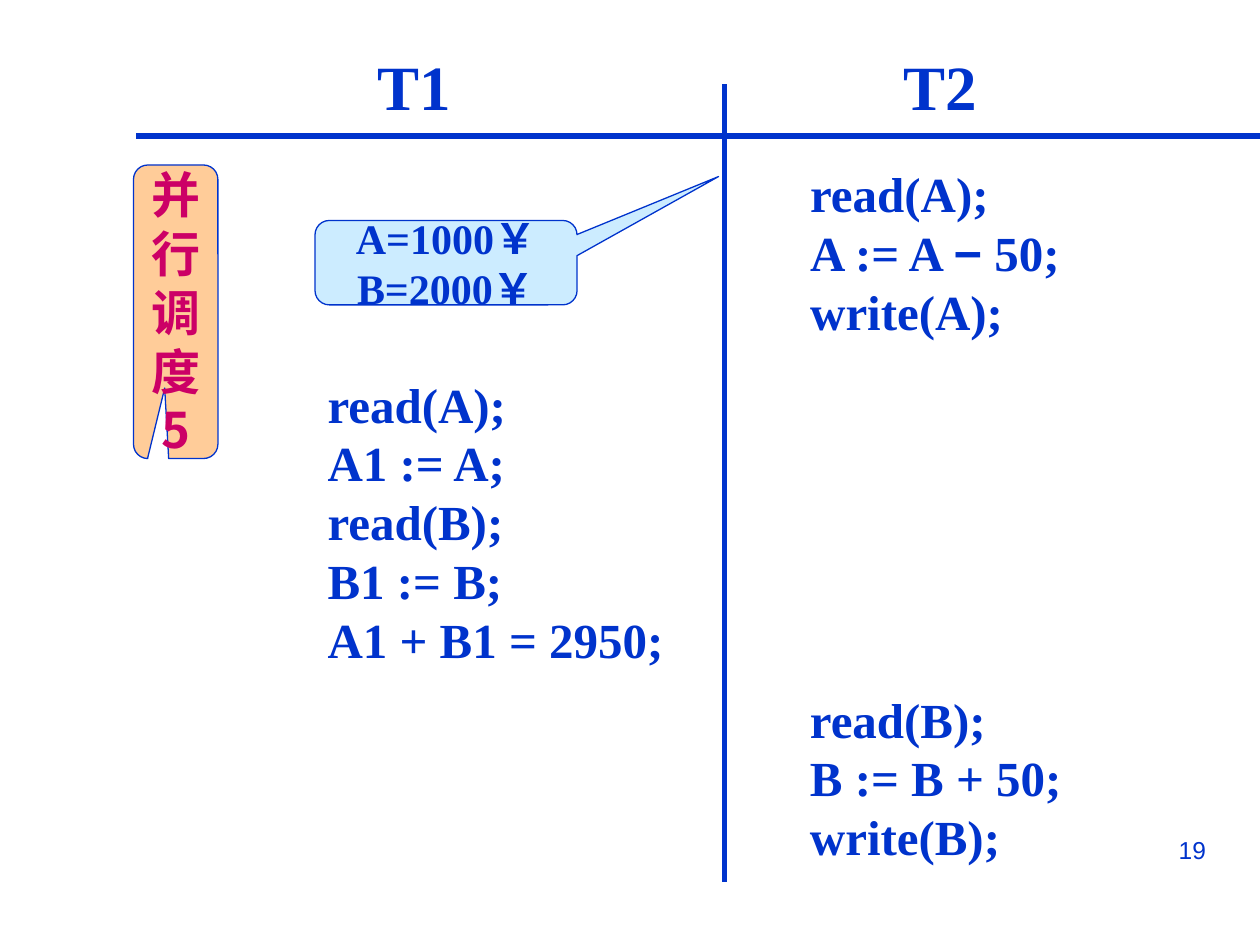
from lxml import etree
from pptx import Presentation, util as u
from pptx.dml.color import RGBColor
from pptx.enum import shapes, text
from pptx.oxml.ns import qn

SERIF, SANS, CHINESE = "Times New Roman", "Arial", "Noto Sans CJK SC"
BLUE, MAGENTA, SKY, PEACH = "0033CC", "CC0066", "CCECFF", "FFCC99"
LINE_PITCH = 1.2
LEFT, CENTER, RIGHT = text.PP_ALIGN.LEFT, text.PP_ALIGN.CENTER, text.PP_ALIGN.RIGHT
COLUMN_LEFT = {"T1": 2.5, "T2": 6.33}

CODE = dict(size=28, bold=True, name=SERIF, color=BLUE)
HEADING = dict(CODE, size=36)
BALANCE = dict(CODE, size=24)
SCHEDULE = dict(CODE, name=CHINESE, color=MAGENTA)
NUMBER = dict(size=14, bold=False, name=SANS, color=BLUE)

# Placeholder index, heading, left edge
headings = [(1, "T1", 2.75), (3, "T2", 6.92)]

# Placeholder index (None for a text box), column, top, width, lines
steps = [
    (4, "T2", 1.25, 2.58, ["read(A);", "A := A − 50;", "write(A);"]),
    (2, "T1", 2.92, 3, ["read(A);", "A1 := A;", "read(B);", "B1 := B;", "A1 + B1 = 2950;"]),
    (None, "T2", 5.42, 2.25, ["read(B);", "B := B + 50;", "write(B);"]),
]

# Box, callout adjustments, fill, text format, lines
callouts = [
    ((2.5, 1.75, 2.08, 0.67), (1.04, -1.02, 0.17), SKY, BALANCE, ["A=1000￥", "B=2000￥"]),
    ((1.06, 1.31, 0.67, 2.33), (-0.13, 0.26, 0.17), PEACH, SCHEDULE, list("并行调度5")),
]

# Start and end of the two table rules
rules = [((1.08, 1.08), (10, 1.08)), ((5.75, 0.67), (5.75, 7))]


def rgb(color):
    return RGBColor.from_string(color)


def place(shape, box):
    for name, value in zip(("left", "top", "width", "height"), box):
        setattr(shape, name, u.Inches(value))


def add_run(paragraph, content, style):
    run = paragraph.add_run()
    run.text = content
    for name in ("size", "bold", "name"):
        value = style[name]
        setattr(run.font, name, u.Pt(value) if name == "size" else value)
    run.font.color.rgb = rgb(style["color"])
    east_asian = etree.SubElement(run.font._element, qn("a:ea"))
    east_asian.set("typeface", CHINESE)


def write(shape, lines, style, align=LEFT, anchor=text.MSO_ANCHOR.TOP, wrap=True):
    """Write one unbulleted paragraph a line, with minus signs in the sans font."""
    frame = shape.text_frame
    frame_format = dict(word_wrap=wrap, vertical_anchor=anchor, auto_size=text.MSO_AUTO_SIZE.NONE,
                        margin_left=u.Inches(0.1), margin_right=u.Inches(0.1),
                        margin_top=u.Inches(0.05), margin_bottom=u.Inches(0.05))
    for name, value in frame_format.items():
        setattr(frame, name, value)
    for number, line in enumerate(lines):
        paragraph = frame.add_paragraph() if number else frame.paragraphs[0]
        properties = paragraph._p.get_or_add_pPr()
        properties.set("marL", "0")
        properties.set("indent", "0")
        etree.SubElement(properties, qn("a:buNone"))
        paragraph.alignment = align
        paragraph.space_before = u.Pt(0)
        paragraph.line_spacing = u.Pt(style["size"] * LINE_PITCH)
        before, minus, after = line.partition("−")
        add_run(paragraph, before, style)
        if minus:
            add_run(paragraph, minus, dict(style, name=SANS))
            add_run(paragraph, after, style)


def text_holder(slide, index, box):
    """Return the placeholder with this index, or a new text box, at the box."""
    if index is None:
        return slide.shapes.add_textbox(*map(u.Inches, box))
    holder = next(item for item in slide.placeholders if item.placeholder_format.idx == index)
    place(holder, box)
    return holder


def add_rule(slide, start, end):
    rule = slide.shapes.add_connector(shapes.MSO_CONNECTOR.STRAIGHT, *map(u.Inches, start + end))
    rule.line.color.rgb = rgb(BLUE)
    rule.line.width = u.Pt(3)
    etree.SubElement(rule._element.spPr, qn("a:effectLst"))


def add_callout(slide, box, adjustments, fill, style, lines):
    callout = slide.shapes.add_shape(shapes.MSO_SHAPE.ROUNDED_RECTANGULAR_CALLOUT,
                                     *map(u.Inches, box))
    for number, value in enumerate(adjustments):
        callout.adjustments[number] = value
    callout.shadow.inherit = False
    callout.fill.solid()
    callout.fill.fore_color.rgb = rgb(fill)
    callout.line.color.rgb = rgb(BLUE)
    callout.line.width = u.Pt(0.75)
    write(callout, lines, style, CENTER, text.MSO_ANCHOR.MIDDLE, wrap=False)


def main():
    presentation = Presentation()
    presentation.slide_width, presentation.slide_height = u.Inches(10), u.Inches(7.5)
    slide = presentation.slides.add_slide(presentation.slide_layouts.get_by_name("Comparison"))
    title = slide.shapes.title._element
    title.getparent().remove(title)

    for index, heading, left in headings:
        write(text_holder(slide, index, (left, 0.33, 1.08, 0.7)), [heading], HEADING, CENTER)
    for index, column, top, width, lines in steps:
        height = 0.1 + len(lines) * CODE["size"] * LINE_PITCH / 72
        write(text_holder(slide, index, (COLUMN_LEFT[column], top, width, height)), lines, CODE)
    for start, end in rules:
        add_rule(slide, start, end)
    for callout in callouts:
        add_callout(slide, *callout)
    write(text_holder(slide, None, (7.17, 6.58, 2.5, 0.52)), ["19"], NUMBER, RIGHT)

    presentation.save("out.pptx")


if __name__ == "__main__":
    main()
